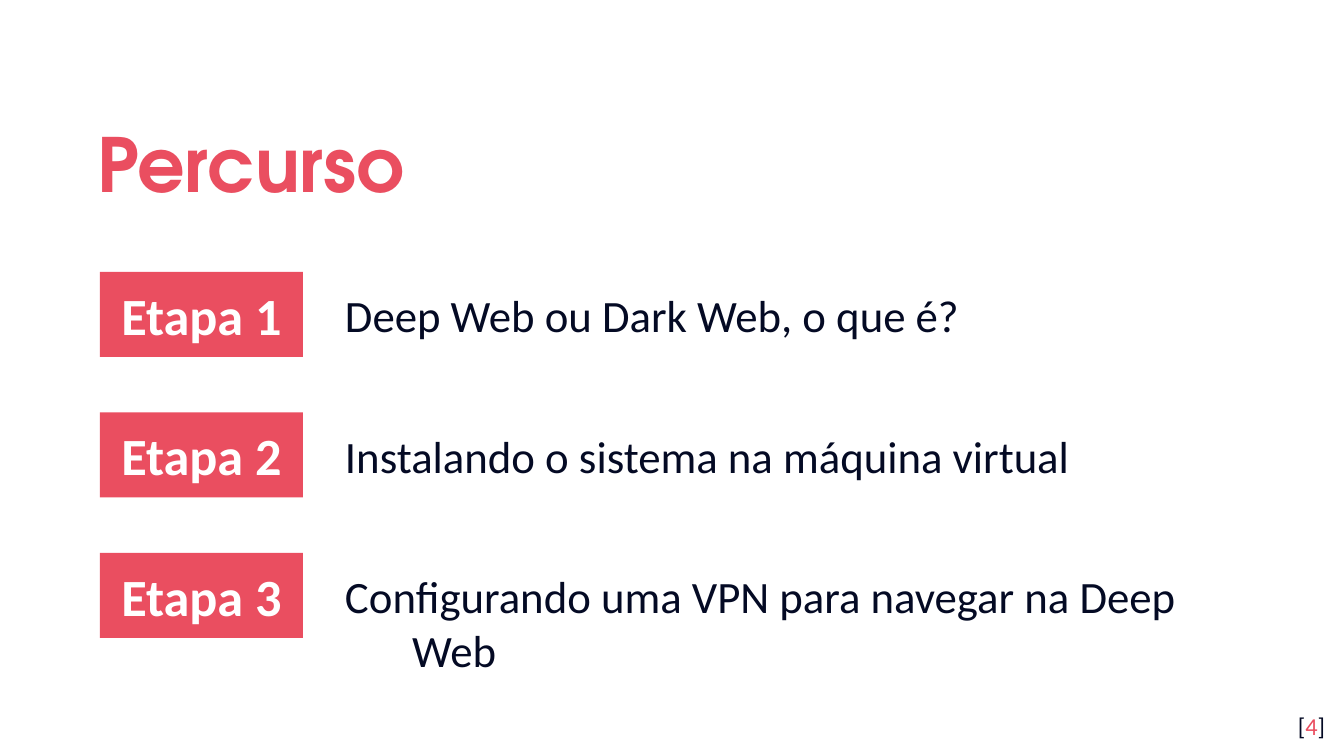
from pptx import Presentation, util as u
from pptx.dml import color
from pptx.enum import shapes, text

EMU_PER_PIXEL = 914400 / 134.4
COLORS = {"accent": "EA4E60", "ink": "040A24", "white": "FFFFFF"}
STEPS = [
    "Deep Web ou Dark Web, o que é?",
    "Instalando o sistema na máquina virtual",
    "Configurando uma VPN para navegar na Deep Web",
]
FIRST_STEP_TOP = 272
STEP_PITCH = 140.5


def px(value):
    return u.Emu(round(value * EMU_PER_PIXEL))


def rgb(name):
    return color.RGBColor.from_string(COLORS[name])


def set_font(font, size, color_name, bold=False, name="Calibri"):
    font.name = name
    font.size = u.Pt(size)
    font.bold = bold
    font.color.rgb = rgb(color_name)


def set_frame(shape, anchor, vertical_inset=13):
    frame = shape.text_frame
    frame.word_wrap = True
    frame.auto_size = text.MSO_AUTO_SIZE.NONE
    frame.vertical_anchor = anchor
    frame.margin_left = frame.margin_right = px(13)
    frame.margin_top = frame.margin_bottom = px(vertical_inset)
    return frame.paragraphs[0]


def add_title(slide, wording):
    title = slide.shapes.title
    title.left, title.top, title.width, title.height = map(px, (84, 94, 1088, 124))
    paragraph = set_frame(title, text.MSO_ANCHOR.MIDDLE)
    paragraph.text = wording
    paragraph.alignment = text.PP_ALIGN.LEFT
    paragraph.line_spacing = 1.15
    set_font(paragraph.font, 40, "accent", True, "TeX Gyre Adventor")


def add_step_label(slide, top, wording):
    label = slide.shapes.add_shape(
        shapes.MSO_SHAPE.RECTANGLE, px(100), px(top), px(203), px(85))
    label.shadow.inherit = False
    label.fill.solid()
    label.fill.fore_color.rgb = rgb("accent")
    label.line.fill.background()
    paragraph = set_frame(label, text.MSO_ANCHOR.MIDDLE)
    paragraph.text = wording
    paragraph.alignment = text.PP_ALIGN.CENTER
    set_font(paragraph.font, 28, "white", True)


def add_step_topic(slide, top, wording):
    topic = slide.shapes.add_textbox(px(332), px(top), px(907), px(67))
    paragraph = set_frame(topic, text.MSO_ANCHOR.TOP, 7)
    paragraph.text = wording
    set_font(paragraph.font, 24, "ink")
    properties = paragraph._p.get_or_add_pPr()
    properties.set("marL", str(u.Inches(0.5)))
    properties.set("indent", str(-u.Inches(0.5)))


def add_page_number(slide, number):
    box = slide.shapes.add_textbox(px(1258), px(698), px(80), px(58))
    paragraph = set_frame(box, text.MSO_ANCHOR.TOP)
    paragraph.alignment = text.PP_ALIGN.RIGHT
    for wording, color_name in (("[", "ink"), (number, "accent"), ("]", "ink")):
        run = paragraph.add_run()
        run.text = wording
        set_font(run.font, 13, color_name)


def main():
    presentation = Presentation()
    presentation.slide_width, presentation.slide_height = px(1344), px(756)
    slide = presentation.slides.add_slide(presentation.slide_layouts[5])
    add_title(slide, "Percurso")
    for index, topic in enumerate(STEPS):
        top = FIRST_STEP_TOP + index * STEP_PITCH
        add_step_label(slide, top, f"Etapa {index + 1}")
        add_step_topic(slide, top + 9, topic)
    add_page_number(slide, "4")
    presentation.save("out.pptx")


main()
